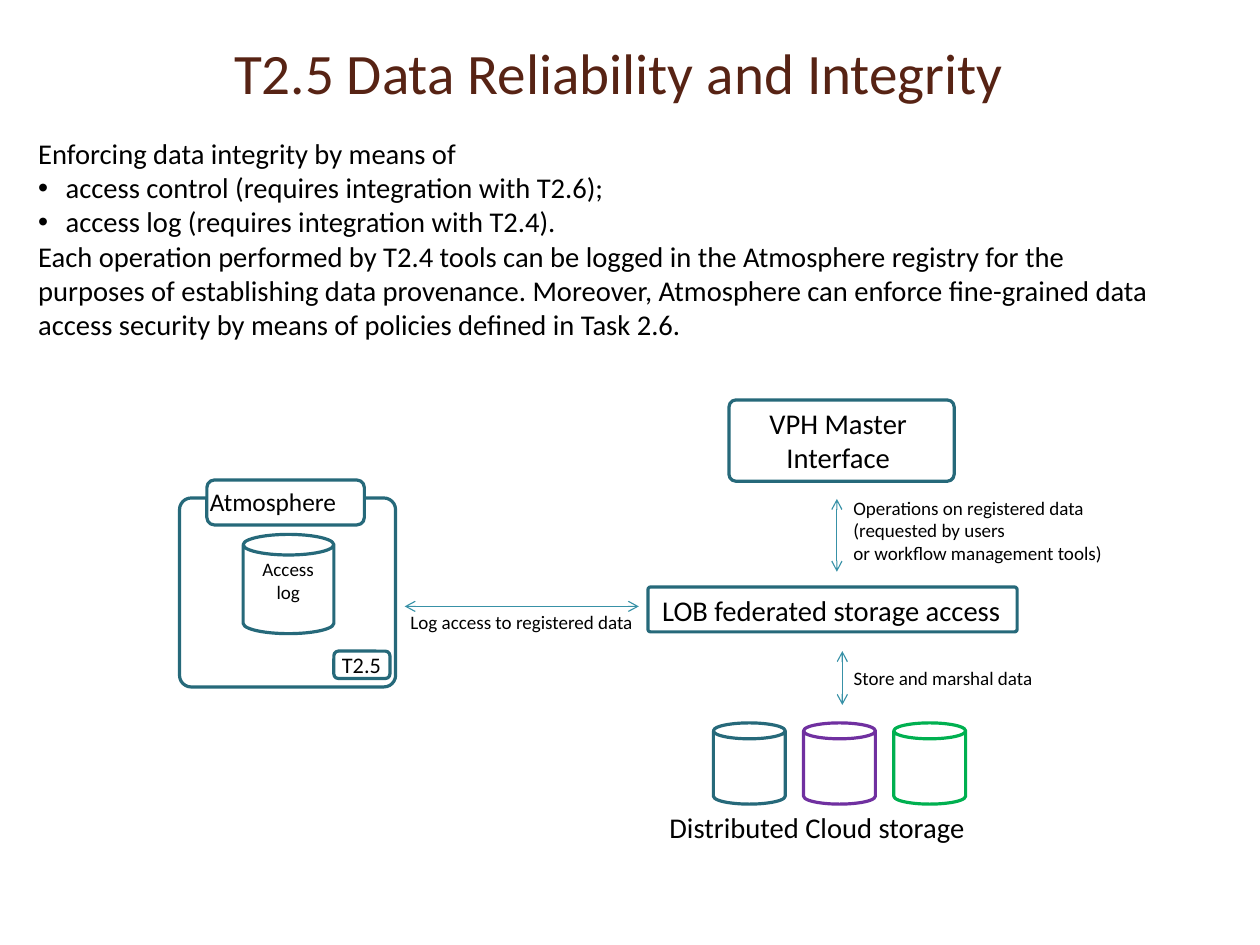
from lxml import etree
from pptx import Presentation
from pptx.dml.color import RGBColor
from pptx.enum.shapes import MSO_CONNECTOR, MSO_SHAPE
from pptx.enum.text import MSO_ANCHOR, PP_ALIGN
from pptx.oxml.ns import qn
from pptx.util import Cm, Inches, Pt

ROUND, CAN = MSO_SHAPE.ROUNDED_RECTANGLE, MSO_SHAPE.CAN
STRAIGHT = MSO_CONNECTOR.STRAIGHT
LEFT, CENTER = PP_ALIGN.LEFT, PP_ALIGN.CENTER
TOP, MIDDLE = MSO_ANCHOR.TOP, MSO_ANCHOR.MIDDLE

THEME = {
    "font": "Calibri",
    "title": 36, "body": 18, "tab": 16, "badge": 14, "note": 12,
    "brown": RGBColor(0x57, 0x23, 0x14),
    "black": RGBColor(0x00, 0x00, 0x00),
    "white": RGBColor(0xFF, 0xFF, 0xFF),
    "teal": RGBColor(0x26, 0x69, 0x7A),
    "purple": RGBColor(0x70, 0x30, 0xA0),
    "green": RGBColor(0x00, 0xB0, 0x50),
    "arrow": RGBColor(0x38, 0x91, 0xA7),
    "outline": Pt(2), "arrow_width": Pt(0.75),
}

prs = Presentation()
prs.slide_width, prs.slide_height = Cm(28), Cm(21)
s = prs.slides.add_slide(prs.slide_layouts[6])


def place(*cells):
    """Turn x, y pairs on a grid of 100 columns by 100 rows into lengths."""
    sizes = (prs.slide_width, prs.slide_height) * 2
    return [int(cell * size / 100) for cell, size in zip(cells, sizes)]


def add_label(cells, lines, size, align=LEFT, color="black", anchor=TOP,
              inset=(0.1, 0.05)):
    tf = s.shapes.add_textbox(*place(*cells)).text_frame
    side, end = map(Inches, inset)
    frame_format = {"word_wrap": True, "vertical_anchor": anchor,
                    "margin_left": side, "margin_right": side,
                    "margin_top": end, "margin_bottom": end}
    for name, value in frame_format.items():
        setattr(tf, name, value)
    for i, line in enumerate(lines):
        p = tf.paragraphs[0] if i == 0 else tf.add_paragraph()
        p.alignment = align
        r = p.add_run()
        r.text = line
        r.font.color.rgb = THEME[color]
        for name, value in {"name": THEME["font"], "size": Pt(THEME[size])}.items():
            setattr(r.font, name, value)
    return tf


# Heading and explanation
add_label((17.58, 0, 64.9, 15.1), ["T2.5 Data Reliability and Integrity"],
          "title", color="brown", anchor=MIDDLE, inset=(0.11, 0.06))
body = add_label((2.14, 13.78, 91.5, 23), [
    "Enforcing data integrity by means of",
    "access control (requires integration with T2.6);",
    "access log (requires integration with T2.4).",
    "Each operation performed by T2.4 tools can be logged in the Atmosphere "
    "registry for the purposes of establishing data provenance. Moreover, "
    "Atmosphere can enforce fine-grained data access security by means of "
    "policies defined in Task 2.6.",
], "body")
for p in body.paragraphs[1:3]:
    pPr = p._p.get_or_add_pPr()
    indent = Inches(0.24)
    pPr.set("marL", str(indent))
    pPr.set("indent", str(-indent))
    etree.SubElement(pPr, qn("a:buFont")).set("typeface", "Arial")
    etree.SubElement(pPr, qn("a:buChar")).set("char", "•")

# Outlines: preset, cells, corner or lid size, line colour, fill colour
outlines = [
    (ROUND, (14.25, 52.7, 17.15, 20), 0.062, "teal", None),
    (CAN, (19.3, 56.55, 7.2, 10.5), 0.227, "teal", None),
    (ROUND, (16.42, 50.8, 12.5, 4.75), 0.167, "teal", "white"),
    (ROUND, (26.5, 68.9, 4.45, 2.9), 0.167, "teal", None),
    (ROUND, (51.43, 62.12, 29.3, 4.75), 0.06, "teal", None),
    (ROUND, (57.86, 42.33, 17.87, 8.6), 0.085, "teal", None),
]
for i, color in enumerate(("teal", "purple", "green")):
    outlines.append((CAN, (56.62 + 7.16 * i, 76.5, 5.7, 8.6), 0.222, color, None))
for preset, cells, adjustment, color, fill in outlines:
    sp = s.shapes.add_shape(preset, *place(*cells))
    sp.shadow.inherit = False
    sp.adjustments[0] = adjustment
    sp.line.color.rgb = THEME[color]
    sp.line.width = THEME["outline"]
    if fill:
        sp.fill.solid()
        sp.fill.fore_color.rgb = THEME[fill]
    else:
        sp.fill.background()

# Two-way arrows between the components
for ends in ((32.12, 64.17, 50.7, 64.17), (66.85, 68.9, 66.85, 74.6),
             (66.42, 52.8, 66.42, 60.5)):
    arrow = s.shapes.add_connector(STRAIGHT, *place(*ends))
    arrow.line.color.rgb = THEME["arrow"]
    arrow.line.width = THEME["arrow_width"]
    ln = arrow.line._get_or_add_ln()
    for end in ("a:headEnd", "a:tailEnd"):
        etree.SubElement(ln, qn(end)).set("type", "arrow")
    etree.SubElement(arrow._element.spPr, qn("a:effectLst"))

# Diagram labels
for cells, lines, size, align in (
    ((19.28, 58.42, 7.2, 6), ["Access log"], "note", CENTER),
    ((15.76, 50.8, 13.4, 4.5), ["Atmosphere"], "tab", LEFT),
    ((49.23, 62.17, 33.5, 4.8), ["LOB federated storage access"], "body", CENTER),
    ((30.1, 64.05, 22.6, 3.6), ["Log access to registered data"], "note", CENTER),
    ((52.24, 85.1, 29.3, 4.8), ["Distributed Cloud storage"], "body", LEFT),
    ((65.65, 69.9, 18.4, 3.6), ["Store and marshal data"], "note", CENTER),
    ((59.5, 42.33, 14.05, 12.1), ["VPH Master Interface"], "body", CENTER),
    ((66.84, 51.9, 21.9, 13.3),
     ["Operations on registered data", "(requested by users",
      "or workflow management tools)"], "note", LEFT),
):
    add_label(cells, lines, size, align)
add_label((27.14, 68.9, 3.5, 2.8), ["T2.5"], "badge", inset=(0, 0))

prs.save("out.pptx")
